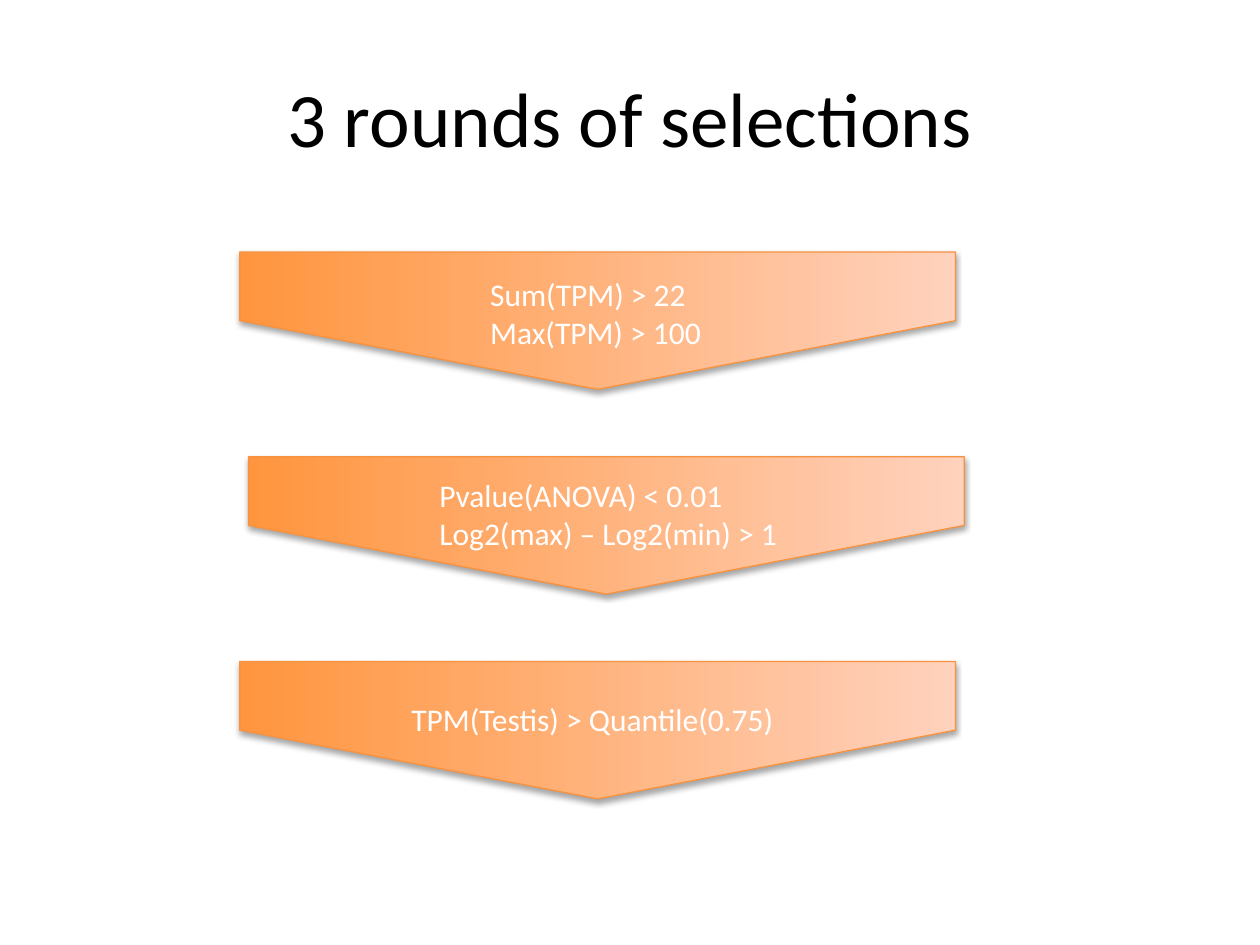
from lxml import etree
from pptx import Presentation
from pptx.dml.color import RGBColor
from pptx.enum.shapes import MSO_SHAPE
from pptx.enum.text import MSO_ANCHOR, MSO_AUTO_SIZE, PP_ALIGN
from pptx.oxml.ns import qn
from pptx.util import Pt

PENTAGON = MSO_SHAPE.PENTAGON
MIDDLE = MSO_ANCHOR.MIDDLE
FIT_SHAPE = MSO_AUTO_SIZE.SHAPE_TO_FIT_TEXT
LEFT, CENTER = PP_ALIGN.LEFT, PP_ALIGN.CENTER

BLACK = RGBColor(0x00, 0x00, 0x00)
WHITE = RGBColor(0xFF, 0xFF, 0xFF)
ORANGE = RGBColor(0xFF, 0x95, 0x3E)
PEACH = RGBColor(0xFF, 0xD2, 0xBD)
OUTLINE = RGBColor(0xF6, 0x92, 0x40)

FONT = "Calibri"
ROUND_WIDTH, ROUND_HEIGHT = 409, 78.5
FIRST_TOP, ROUND_PITCH = 144, 117

# Left edge of the round, then its criteria and their box within the round
ROUNDS = [
    (137, "Sum(TPM) > 22\nMax(TPM) > 100", (136, 9.5, 136, 51)),
    (142, "Pvalue(ANOVA) < 0.01\nLog2(max) – Log2(min) > 1", (102, 7.5, 209.5, 51)),
    (137, "TPM(Testis) > Quantile(0.75)", (91, 18.5, 225.5, 29)),
]


def add_text(slide, text, left, top, width, height, size, color, align):
    box = slide.shapes.add_textbox(Pt(left), Pt(top), Pt(width), Pt(height))
    frame = box.text_frame
    frame.text = text
    for paragraph in frame.paragraphs:
        paragraph.alignment = align
        for run in paragraph.runs:
            run.font.name = FONT
            run.font.size = Pt(size)
            run.font.color.rgb = color
    return frame


def add_title(slide, left, top, width, height):
    frame = add_text(slide, "3 rounds of selections", left, top, width, height,
                     44, BLACK, CENTER)
    frame.word_wrap = True
    frame.vertical_anchor = MIDDLE


def add_drop_shadow(shape):
    shape.shadow.inherit = False
    effects = shape._element.spPr.find(qn("a:effectLst"))
    shadow = etree.SubElement(effects, qn("a:outerShdw"), blurRad=str(Pt(3.15)),
                              dist=str(Pt(1.8)), dir="5400000", rotWithShape="0")
    black = etree.SubElement(shadow, qn("a:srgbClr"), val=str(BLACK))
    etree.SubElement(black, qn("a:alpha"), val="35000")


def add_down_arrow(slide, left, top, width, height):
    """Fill the given box with a pentagon turned to point down."""
    shift = (width - height) / 2
    arrow = slide.shapes.add_shape(PENTAGON, Pt(left + shift), Pt(top - shift),
                                   Pt(height), Pt(width))
    arrow.rotation = 90
    arrow.fill.gradient()
    arrow.fill.gradient_angle = 90
    for stop, color in zip(arrow.fill.gradient_stops, (ORANGE, PEACH)):
        stop.color.rgb = color
    arrow.line.color.rgb = OUTLINE
    arrow.line.width = Pt(0.75)
    add_drop_shadow(arrow)


def add_round(slide, left, top, width, height, criteria, criteria_box):
    add_down_arrow(slide, left, top, width, height)
    dx, dy, text_width, text_height = criteria_box
    frame = add_text(slide, criteria, left + dx, top + dy, text_width, text_height,
                     18, WHITE, LEFT)
    frame.word_wrap = False
    frame.auto_size = FIT_SHAPE


def main():
    prs = Presentation()
    prs.slide_width, prs.slide_height = Pt(720), Pt(540)
    slide = prs.slides.add_slide(prs.slide_layouts[6])
    add_title(slide, 36, 21.6, 648, 90)
    for i, (left, criteria, criteria_box) in enumerate(ROUNDS):
        add_round(slide, left, FIRST_TOP + i * ROUND_PITCH, ROUND_WIDTH, ROUND_HEIGHT,
                  criteria, criteria_box)
    prs.save("out.pptx")


if __name__ == "__main__":
    main()
